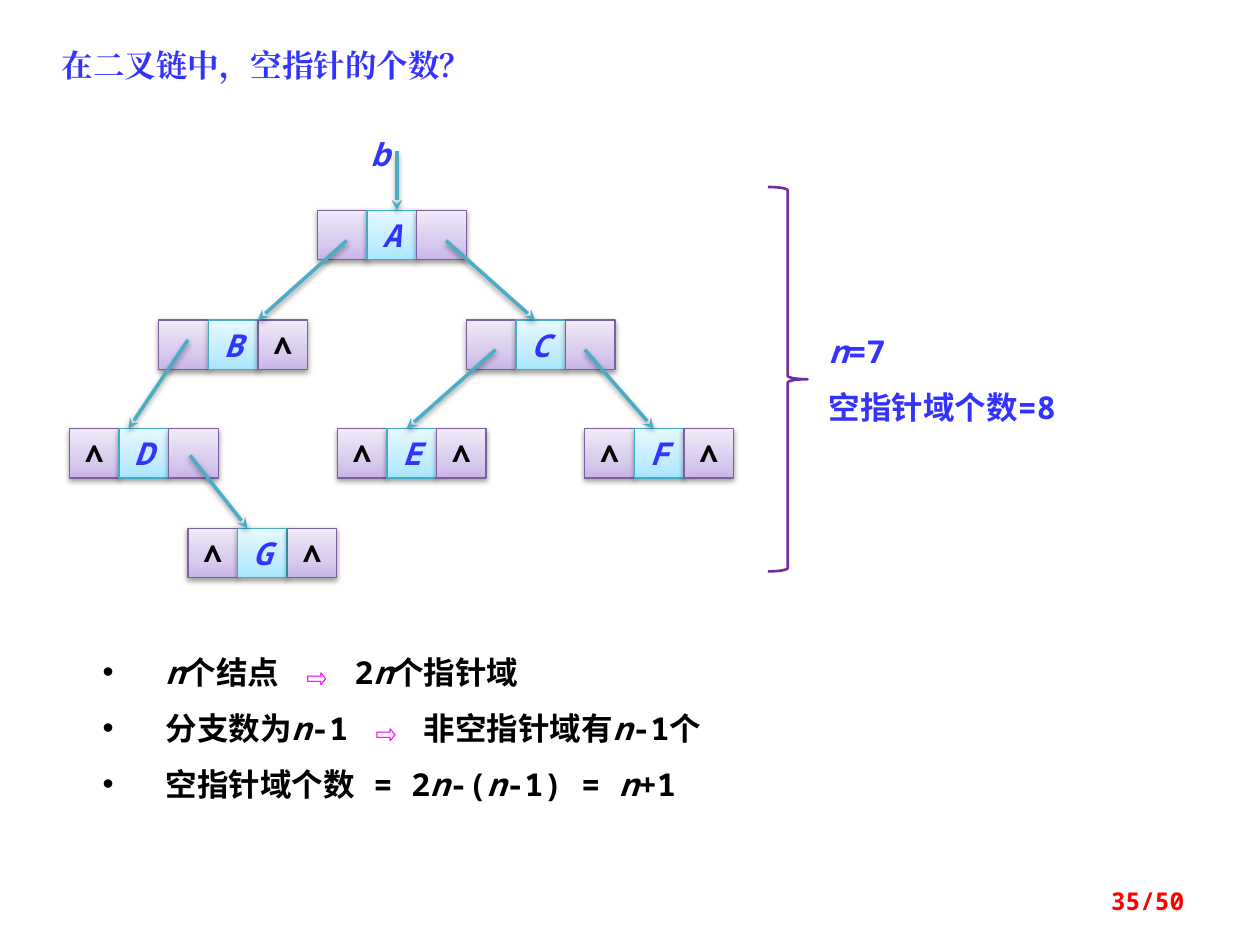
from copy import deepcopy
from typing import NamedTuple

from pptx import Presentation
from pptx.dml.color import RGBColor
from pptx.enum.shapes import MSO_CONNECTOR, MSO_SHAPE
from pptx.enum.text import MSO_ANCHOR, PP_ALIGN
from pptx.oxml import parse_xml
from pptx.oxml.ns import nsdecls, qn
from pptx.oxml.xmlchemy import OxmlElement
from pptx.util import Cm, Pt

MONO = "Noto Sans Mono"
BLUE, BLACK, MAGENTA, RED = "3333FF", "000000", "FF00FF", "FF0000"
CELL = 1.0
NULL = "∧"


class Span(NamedTuple):
    text: str
    color: str = BLACK
    italic: bool = False
    size: int = 18
    font: str = MONO


class Palette(NamedTuple):
    stops: tuple[str, str, str]
    border: str


class Node(NamedTuple):
    label: str
    left: float
    top: float
    left_null: bool
    right_null: bool


class Link(NamedTuple):
    x1: float
    y1: float
    x2: float
    y2: float


POINTER = Palette(("C9B5E8", "D8CBEE", "F0EAF9"), "7D60A0")
DATA = Palette(("A7E6FF", "C1EDFF", "E7F8FF"), "46AAC5")

NODES = [
    Node("A", 6.4, 4.24, False, False),
    Node("B", 3.2, 6.45, False, True),
    Node("D", 1.4, 8.64, True, False),
    Node("G", 3.79, 10.65, True, True),
    Node("C", 9.4, 6.45, False, False),
    Node("E", 6.8, 8.64, True, True),
    Node("F", 11.79, 8.64, True, True),
]
LINKS = [
    Link(6.99, 4.85, 5.2, 6.45),
    Link(3.79, 6.85, 2.59, 8.64),
    Link(8.99, 4.85, 10.79, 6.45),
    Link(3.83, 9.18, 4.99, 10.65),
    Link(9.99, 7.05, 8.2, 8.64),
    Link(11.79, 7.05, 13.18, 8.64),
    Link(8.0, 3.05, 8.0, 4.24),
]


def rgb(value: str) -> RGBColor:
    return RGBColor.from_string(value)


def var(name: str, color: str = BLACK) -> Span:
    return Span(name, color, italic=True)


def add_soft_shadow(shape) -> None:
    shape._element.spPr.append(parse_xml(
        f'<a:effectLst {nsdecls("a")}>'
        '<a:outerShdw blurRad="40000" dist="20000" dir="5400000" rotWithShape="0">'
        '<a:srgbClr val="000000"><a:alpha val="38000"/></a:srgbClr>'
        '</a:outerShdw></a:effectLst>'))


def write_spans(paragraph, spans: list[Span]) -> None:
    for span in spans:
        run = paragraph.add_run()
        run.text = span.text
        run.font.size = Pt(span.size)
        run.font.bold = True
        run.font.italic = span.italic
        run.font.color.rgb = rgb(span.color)
        run.font.name = span.font
        east_asian = OxmlElement("a:ea")
        east_asian.set("typeface", span.font)
        run._r.get_or_add_rPr().append(east_asian)


def add_text(shapes, left: float, top: float, width: float, height: float,
             lines: list[list[Span]], align=PP_ALIGN.LEFT, spacing: int | None = None):
    box = shapes.add_textbox(Cm(left), Cm(top), Cm(width), Cm(height))
    frame = box.text_frame
    frame.word_wrap = True
    for index, spans in enumerate(lines):
        paragraph = frame.add_paragraph() if index else frame.paragraphs[0]
        paragraph.alignment = align
        if spacing:
            paragraph.line_spacing = Pt(spacing)
        write_spans(paragraph, spans)
    return box


def add_bullets(box) -> None:
    for paragraph in box.text_frame.paragraphs:
        properties = paragraph._p.get_or_add_pPr()
        properties.set("marL", str(Cm(1.27)))
        properties.set("indent", str(-Cm(1.27)))
        bullet_font = OxmlElement("a:buFont")
        bullet_font.set("typeface", "Arial")
        bullet = OxmlElement("a:buChar")
        bullet.set("char", "•")
        properties.extend([bullet_font, bullet])


def draw_cell(shapes, left: float, top: float, palette: Palette, content: Span | None) -> None:
    cell = shapes.add_shape(MSO_SHAPE.RECTANGLE, Cm(left), Cm(top), Cm(CELL), Cm(CELL))
    cell.line.color.rgb = rgb(palette.border)
    cell.line.width = Pt(0.75)
    cell.fill.gradient()
    cell.fill.gradient_angle = 90
    stop_list = cell._element.spPr.find(".//" + qn("a:gsLst"))
    stop_list.append(deepcopy(stop_list[0]))
    for stop, color, position in zip(cell.fill.gradient_stops, palette.stops, (0, 0.35, 1)):
        stop.color.rgb = rgb(color)
        stop.position = position
    add_soft_shadow(cell)
    if content:
        frame = cell.text_frame
        frame.word_wrap = False
        frame.vertical_anchor = MSO_ANCHOR.MIDDLE
        frame.paragraphs[0].alignment = PP_ALIGN.CENTER
        write_spans(frame.paragraphs[0], [content])


def draw_node(shapes, node: Node) -> None:
    cells = [
        (POINTER, Span(NULL) if node.left_null else None),
        (DATA, var(node.label, BLUE)),
        (POINTER, Span(NULL) if node.right_null else None),
    ]
    for column, (palette, content) in enumerate(cells):
        draw_cell(shapes, node.left + column * CELL, node.top, palette, content)


def draw_link(shapes, link: Link) -> None:
    arrow = shapes.add_connector(MSO_CONNECTOR.STRAIGHT, *(Cm(value) for value in link))
    arrow.line.color.rgb = rgb("4BACC6")
    arrow.line.width = Pt(2)
    head = OxmlElement("a:tailEnd")
    head.set("type", "stealth")
    arrow.line._get_or_add_ln().append(head)
    add_soft_shadow(arrow)


def main() -> None:
    deck = Presentation()
    deck.slide_width, deck.slide_height = Cm(25.4), Cm(19.05)
    slide = deck.slides.add_slide(deck.slide_layouts[6])

    tree = slide.shapes.add_group_shape().shapes
    for node in NODES:
        draw_node(tree, node)
    for link in LINKS:
        draw_link(tree, link)
    add_text(tree, 6.76, 2.6, 1.8, 1.02, [[var("b", BLUE)]], PP_ALIGN.CENTER)

    add_text(slide.shapes, 1, 0.8, 12.3, 1.02,
             [[Span("在二叉链中，空指针的个数？", BLUE, font="Times New Roman")]])

    n = var("n")
    derivation = add_text(slide.shapes, 1.57, 12.5, 15.47, 4.01, [
        [n, Span("个结点 "), Span("⇨ ", MAGENTA), Span("2"), n, Span("个指针域")],
        [Span("分支数为"), n, Span("-1 "), Span("⇨", MAGENTA),
         Span(" 非空指针域有"), n, Span("-1个")],
        [Span("空指针域个数 = 2"), n, Span("-("), n, Span("-1) = "), n, Span("+1")],
    ], spacing=32)
    derivation.fill.solid()
    derivation.fill.fore_color.rgb = rgb("FFFFFF")
    derivation.text_frame.margin_left = Cm(0.5)
    derivation.text_frame.margin_top = derivation.text_frame.margin_bottom = Cm(0.3)
    add_bullets(derivation)

    summary = slide.shapes.add_group_shape().shapes
    add_text(summary, 16.46, 6.2, 5.56, 2.54,
             [[var("n", BLUE), Span("=7", BLUE)], [Span("空指针域个数=8", BLUE)]], spacing=32)
    brace = summary.add_shape(MSO_SHAPE.RIGHT_BRACE, Cm(15.48), Cm(3.77), Cm(0.8), Cm(7.75))
    brace.shadow.inherit = False
    brace.fill.background()
    brace.line.color.rgb = rgb("7030A0")
    brace.line.width = Pt(1.5)

    page_number = add_text(slide.shapes, 18.21, 17.65, 5.92, 1.02,
                           [[Span("35/50", RED, size=14)]], PP_ALIGN.RIGHT)
    page_number.text_frame.vertical_anchor = MSO_ANCHOR.MIDDLE

    deck.save("out.pptx")


if __name__ == "__main__":
    main()
